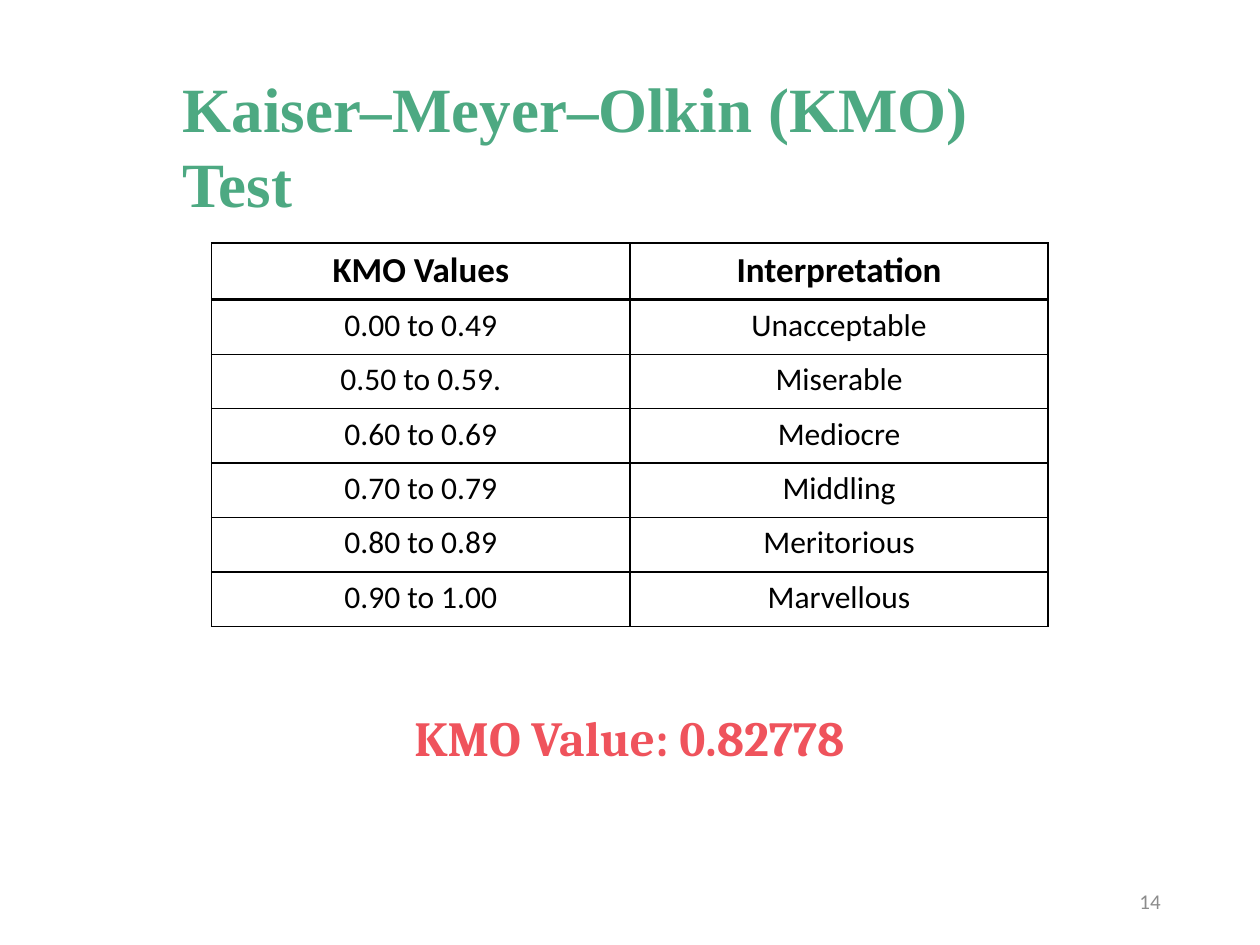
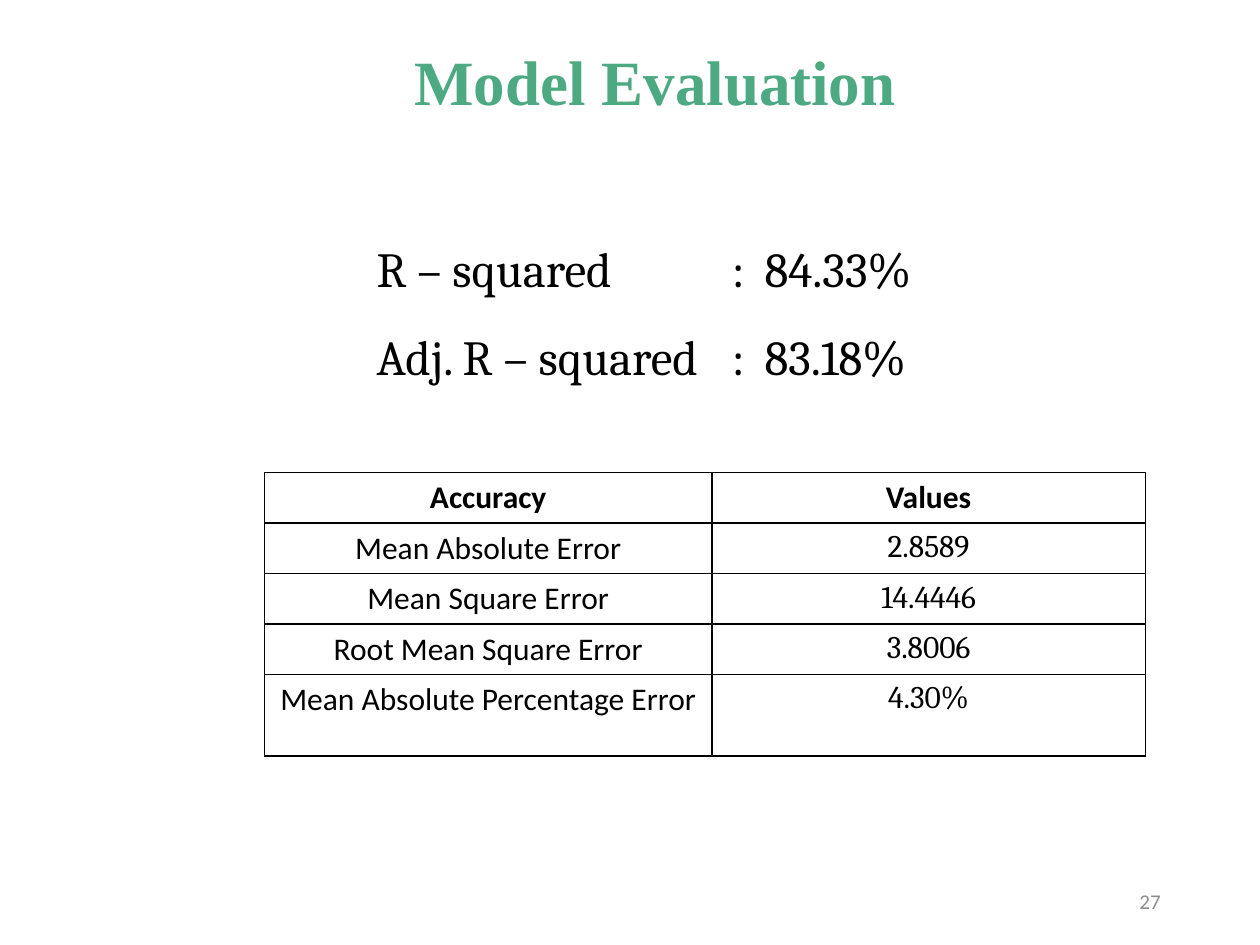
from dataclasses import dataclass
from lxml.etree import SubElement as Sub
from pptx import Presentation as Deck
from pptx.dml.color import RGBColor as Rgb
from pptx.enum.text import MSO_ANCHOR as Anchor, MSO_AUTO_SIZE as Fit, PP_ALIGN as Align
from pptx.oxml.ns import qn
from pptx.util import Emu, Inches, Pt


@dataclass(frozen=True)
class Theme:
    green: str = "4DA982"
    red: str = "EF535C"
    black: str = "000000"
    gray: str = "8C8C8C"
    serif: str = "Times New Roman"
    book: str = "Cambria"
    sans: str = "Calibri"
    title: int = 36
    lead: int = 28
    head: int = 20
    body: int = 18
    foot: int = 12


class Page:
    cols, rows = 100, 75

    def __init__(self, deck, theme):
        self.deck, self.theme = deck, theme
        self.slide = None

    def x(self, n):
        return Emu(round(self.deck.slide_width * n / self.cols))

    def y(self, n):
        return Emu(round(self.deck.slide_height * n / self.rows))

    def place(self, box):
        left, top, width, height = box
        return self.x(left), self.y(top), self.x(width), self.y(height)

    def style(self, para, face, size, color, bold=False, align=Align.LEFT):
        para.alignment = align
        font = para.font
        font.name, font.size, font.bold = face, Pt(size), bold
        font.color.rgb = Rgb.from_string(color)

    def start(self, title, box, number):
        t = self.theme
        self.slide = self.deck.slides.add_slide(self.deck.slide_layouts[5])
        shape = self.slide.shapes.title
        shape.left, shape.top, shape.width, shape.height = self.place(box)
        frame = shape.text_frame
        frame.text = title
        frame.word_wrap, frame.auto_size = True, Fit.SHAPE_TO_FIT_TEXT
        frame.vertical_anchor = Anchor.TOP
        self.style(frame.paragraphs[0], t.serif, t.title, t.green, True)
        self.text([number], (70.6, 69.5, 22.5, 4), t.sans, t.foot, t.gray,
                  align=Align.RIGHT, anchor=Anchor.MIDDLE)

    def text(self, lines, box, face, size, color, bold=False, align=Align.LEFT,
             anchor=Anchor.TOP, space=None, tabs=()):
        frame = self.slide.shapes.add_textbox(*self.place(box)).text_frame
        frame.word_wrap, frame.vertical_anchor = True, anchor
        frame.text = "\n".join(lines)
        for para in frame.paragraphs:
            if space:
                para.line_spacing = space
            if tabs:
                stops = Sub(para._p.get_or_add_pPr(), qn("a:tabLst"))
                for stop in tabs:
                    Sub(stops, qn("a:tab"), pos=str(self.x(stop)), algn="l")
            self.style(para, face, size, color, bold, align)

    def edge(self, cell, side, width):
        line = Sub(cell._tc.get_or_add_tcPr(), qn(f"a:ln{side}"), w=str(Pt(width)))
        fill = Sub(line, qn("a:solidFill"))
        Sub(fill, qn("a:srgbClr"), val=self.theme.black)

    def table(self, data, spot, widths, heights, head, faces, rule=1):
        t = self.theme
        box = (*spot, sum(widths), sum(heights))
        grid = self.slide.shapes.add_table(len(data), len(widths), *self.place(box)).table
        grid.first_row = grid.horz_banding = False
        for col, width in zip(grid.columns, widths):
            col.width = self.x(width)
        for i, (row, height) in enumerate(zip(grid.rows, heights)):
            row.height = self.y(height)
            top = i == 0
            for cell, words, face in zip(row.cells, data[i], faces):
                cell.text = words
                self.style(cell.text_frame.paragraphs[0], t.sans if top else face,
                           head if top else t.body, t.black, top, Align.CENTER)
                for side in "LRTB":
                    thick = (i, side) in ((0, "B"), (1, "T"))
                    self.edge(cell, side, rule if thick else 1)
                cell.fill.background()


def main():
    deck, t = Deck(), Theme()
    deck.slide_width, deck.slide_height = Inches(10), Inches(7.5)
    page = Page(deck, t)

    page.start("Kaiser–Meyer–Olkin (KMO) Test", (13.5, 5, 72.9, 7.1), "14")
    marks = [
        ("KMO Values", "Interpretation"),
        ("0.00 to 0.49", "Unacceptable"),
        ("0.50 to 0.59.", "Miserable"),
        ("0.60 to 0.69", "Mediocre"),
        ("0.70 to 0.79", "Middling"),
        ("0.80 to 0.89", "Meritorious"),
        ("0.90 to 1.00", "Marvellous"),
    ]
    page.table(marks, (16.8, 19.3), [33.2] * 2, [4.5] + [4.32] * 6,
               t.head, [t.sans] * 2, rule=2)
    page.text(["KMO Value: 0.82778"], (24.9, 55.7, 50.1, 5.7), t.book, t.lead,
              t.red, True, Align.CENTER)

    page.start("Model Evaluation", (31.9, 2.9, 43.8, 7.1), "27")
    errors = [
        ("Accuracy", "Values"),
        ("Mean Absolute Error", "2.8589"),
        ("Mean Square Error", "14.4446"),
        ("Root Mean Square Error", "3.8006"),
        ("Mean Absolute Percentage Error", "4.30%"),
    ]
    page.table(errors, (21, 37.5), [35.5, 34.4], [4] * 4 + [6.5],
               t.body, [t.sans, t.book])
    page.text(["R – squared\t:\t84.33%", "Adj. R – squared\t:\t83.18%"],
              (28.9, 16.1, 49.7, 14.3), t.book, t.lead, t.black,
              space=1.5, tabs=(28.2, 30.8))

    deck.save("out.pptx")


if __name__ == "__main__":
    main()
